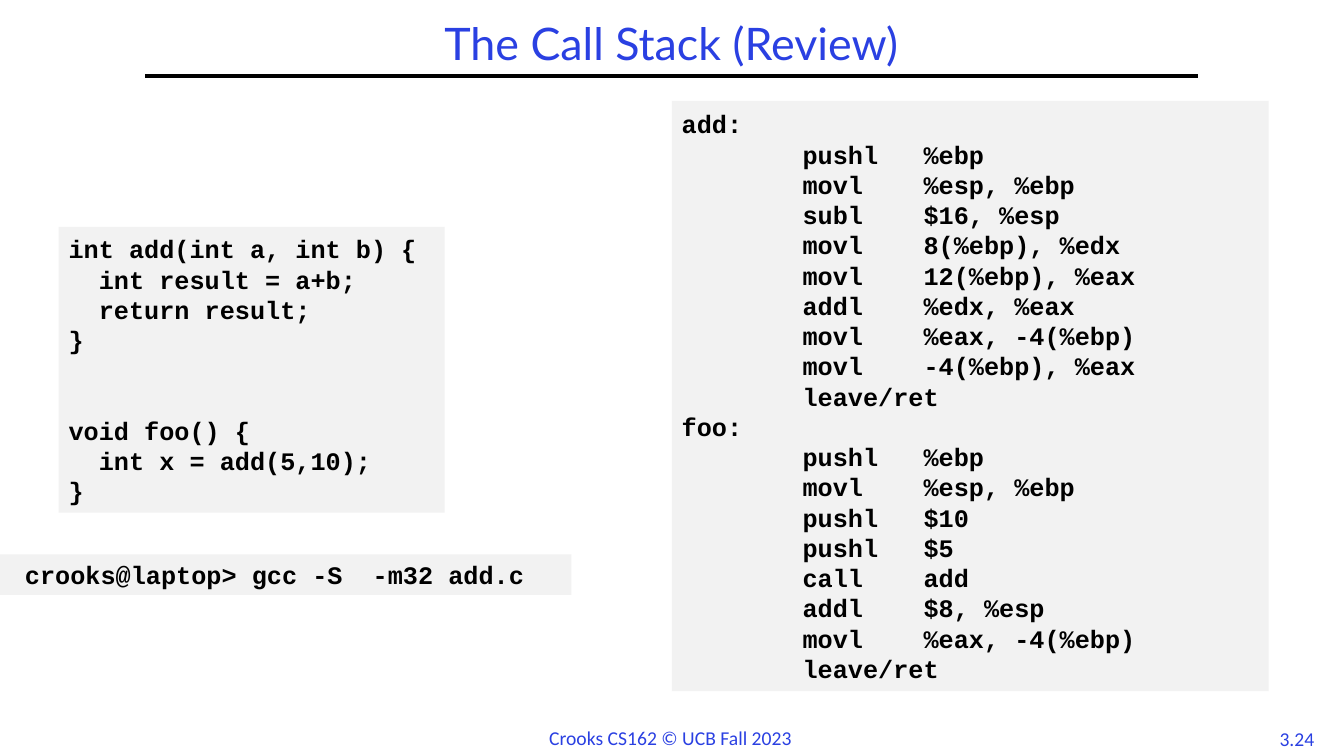
from pptx import Presentation
from pptx.dml.color import RGBColor
from pptx.enum.shapes import MSO_CONNECTOR, MSO_SHAPE
from pptx.enum.text import MSO_ANCHOR, PP_ALIGN
from pptx.util import Cm, Pt
from lxml.etree import SubElement
from pptx.oxml.ns import qn

BLUE, GREY, BLACK = "2A40E2", "F2F2F2", "000000"
TITLE = {"name": "Lato", "size": Pt(32), "bold": False}
SMALL = {"name": "Calibri", "size": Pt(14)}
MONO = {"name": "Courier New", "size": Pt(18), "bold": True}
PITCH = 21.6

SOURCE = """int add(int a, int b) {
  int result = a+b;
  return result;
}


void foo() {
  int x = add(5,10);
}"""

SHELL = " crooks@laptop> gcc -S  -m32 add.c"

ASM = """add:
        pushl   %ebp
        movl    %esp, %ebp
        subl    $16, %esp
        movl    8(%ebp), %edx
        movl    12(%ebp), %eax
        addl    %edx, %eax
        movl    %eax, -4(%ebp)
        movl    -4(%ebp), %eax
        leave/ret
foo:
        pushl   %ebp
        movl    %esp, %ebp
        pushl   $10
        pushl   $5
        call    add
        addl    $8, %esp
        movl    %eax, -4(%ebp)
        leave/ret"""


def paint(part, color):
    part.rgb = RGBColor.from_string(color)


def style(item, values):
    for key, value in values.items():
        setattr(item, key, value)


def write(para, text, font, color, align):
    para.text = text
    para.alignment = align
    style(para.font, font)
    paint(para.font.color, color)


def head(slide, left, top, width, height):
    title = slide.shapes.title
    style(title, {"left": left, "top": top, "width": width, "height": height})
    frame = title.text_frame
    style(frame, {"vertical_anchor": MSO_ANCHOR.MIDDLE, "word_wrap": True})
    para = frame.paragraphs[0]
    write(para, "The Call Stack (Review)", TITLE, BLUE, PP_ALIGN.CENTER)
    para.line_spacing = 0.9
    base = top + height
    rule = slide.shapes.add_connector(
        MSO_CONNECTOR.STRAIGHT, left, base, left + width, base)
    rule.line.width = Pt(3)
    paint(rule.line.color, BLACK)
    SubElement(rule._element.spPr, qn("a:effectLst"))


def code(slide, text, left, top, width, height):
    box = slide.shapes.add_shape(MSO_SHAPE.RECTANGLE, left, top, width, height)
    box.shadow.inherit = False
    box.fill.solid()
    paint(box.fill.fore_color, GREY)
    box.line.fill.background()
    frame = box.text_frame
    style(frame, {"vertical_anchor": MSO_ANCHOR.MIDDLE, "word_wrap": True})
    para, gap = frame.paragraphs[0], 0
    for line in text.split("\n"):
        if not line:
            gap += PITCH
            continue
        if para.text:
            para = frame.add_paragraph()
        write(para, line, MONO, BLACK, PP_ALIGN.LEFT)
        style(para, {"line_spacing": Pt(PITCH), "space_before": Pt(gap)})
        gap = 0


def note(slide, text, align, left, top, width, height):
    box = slide.shapes.add_textbox(left, top, width, height)
    box.text_frame.word_wrap = False
    write(box.text_frame.paragraphs[0], text, SMALL, BLUE, align)


def main():
    deck = Presentation()
    style(deck, {"slide_width": Cm(33.87), "slide_height": Cm(19.05)})
    slide = deck.slides.add_slide(deck.slide_layouts[5])
    head(slide, Cm(3.66), Cm(0.43), Cm(26.52), Cm(1.48))
    code(slide, SOURCE, Cm(1.48), Cm(5.72), Cm(9.73), Cm(7.2))
    code(slide, SHELL, Cm(0), Cm(13.97), Cm(14.4), Cm(1.02))
    code(slide, ASM, Cm(16.93), Cm(2.54), Cm(15.04), Cm(14.88))
    note(slide, "Crooks CS162 © UCB Fall 2023", PP_ALIGN.LEFT,
         Cm(13.59), Cm(18.16), Cm(6.68), Cm(0.86))
    note(slide, "3.24", PP_ALIGN.CENTER,
         Cm(31.95), Cm(18.19), Cm(1.47), Cm(0.84))
    deck.save("out.pptx")


if __name__ == "__main__":
    main()
